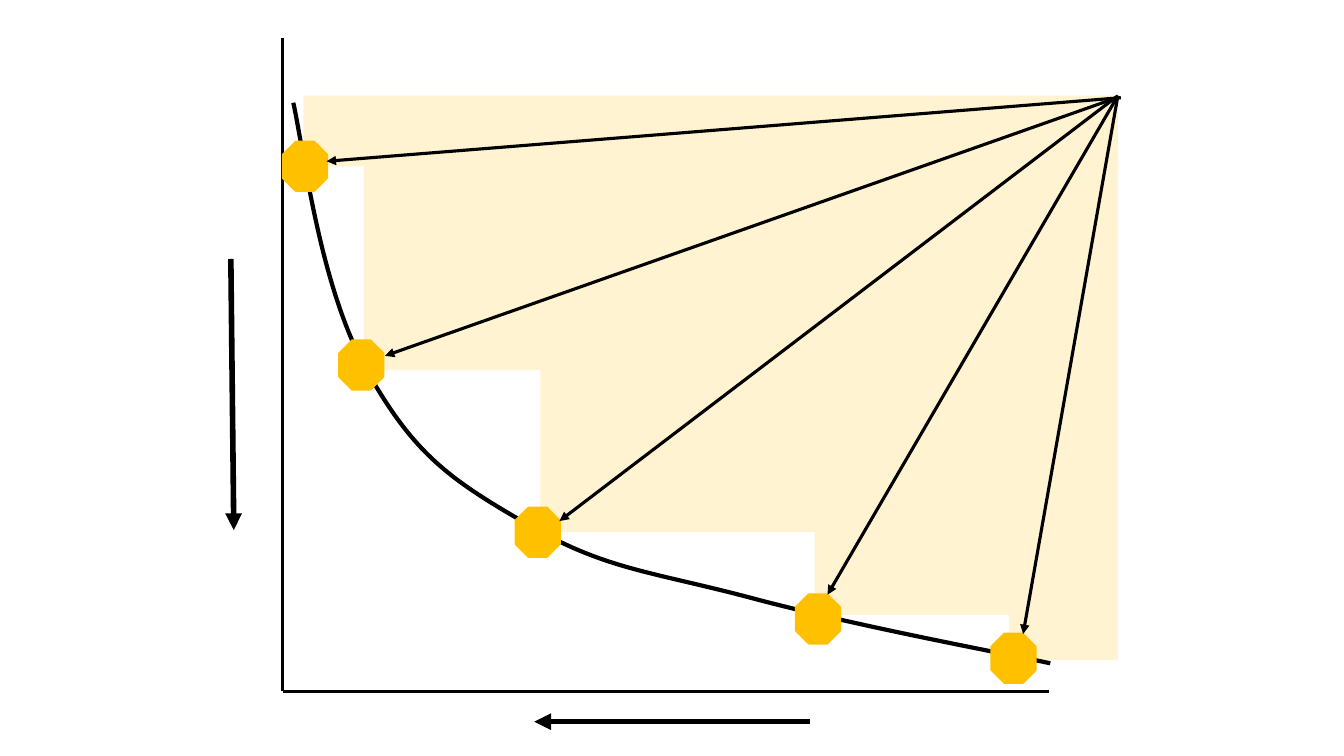
"""Draw a trade-off curve with its dominated area and rays to each optimum."""
import itertools
from dataclasses import dataclass

import pptx
import pptx.dml.color
import pptx.enum.shapes
import pptx.oxml
import pptx.oxml.ns
import pptx.util

Pt = pptx.util.Pt
qn = pptx.oxml.ns.qn
BLACK, GOLD = "000000", "FFC000"
Point = tuple[float, float]


@dataclass
class Line:
    start: Point
    end: Point
    width: float
    arrow: bool = True


CORNER: Point = (798.5, 68.4)
STEPS: list[Point] = [
    (720.7, 471.6), (581.8, 439.2), (385.9, 380.2), (259.9, 264.2), (216.7, 118.8),
]
CURVE: list[Point] = [
    (209.5, 73.4),
    (217.4, 109.4), (228.2, 203), (261.4, 263.5),
    (295.2, 324), (320.4, 342), (376.6, 374.4),
    (432.7, 407.5), (466.6, 408.2), (541.4, 428.4),
    (615.6, 447.8), (708.5, 465.1), (750.2, 473.8),
]
DOTS: list[Point] = [
    (202.3, 101.5), (242.6, 243.4), (368.6, 362.9), (568.8, 424.8), (708.5, 452.9),
]
DOT_SIZE: Point = (31, 34.6)
AXES = [
    Line((201.6, 27.4), (201.6, 493.9), 2, False),
    Line((202.3, 493.9), (749.5, 493.9), 2, False),
    Line((578.9, 515.5), (381.6, 515.5), 4),
    Line((164.9, 185), (167, 378.7), 4),
]
RAYS = [
    Line((800.6, 69.8), (233.3, 115.2), 2.25),
    Line((797.8, 69.8), (275, 254.2), 2.25),
    Line(CORNER, (399.6, 372.2), 2.25),
    Line(CORNER, (591.1, 424.8), 2.25),
    Line(CORNER, (730.8, 452.9), 2.25),
]


def paint(form, code: str) -> None:
    """Give a fill one solid colour."""
    form.solid()
    form.fore_color.rgb = pptx.dml.color.RGBColor.from_string(code)


def ink(line, width: float) -> None:
    """Make a line black and set its width."""
    paint(line.fill, BLACK)
    line.width = Pt(width)


def trace(slide, spots: list[Point], close: bool):
    """Build an outline through the given points."""
    pairs = [(Pt(x), Pt(y)) for x, y in spots]
    maker = slide.shapes.build_freeform(*pairs[0], scale=1.0)
    maker.add_line_segments(pairs[1:], close=close)
    shape = maker.convert_to_shape()
    shape.shadow.inherit = False
    return shape


def draw_area(slide) -> None:
    """Draw the pale stepped area."""
    right, top = CORNER
    spots = [CORNER, (right, STEPS[0][1])]
    for (x, y), (_, rise) in itertools.pairwise(STEPS + [CORNER]):
        spots += [(x, y), (x, rise)]
    area = trace(slide, spots, True)
    paint(area.fill, GOLD)
    area.line.fill.background()
    tint = area.element.spPr.find(qn("a:solidFill"))[0]
    pptx.oxml.ns.qn
    tint.append(pptx.oxml.parse_xml(f'<a:alpha {pptx.oxml.ns.nsdecls("a")} val="18000"/>'))


def draw_curve(slide) -> None:
    """Draw the smooth curve, each three points forming one Bezier part."""
    curve = trace(slide, CURVE, False)
    curve.fill.background()
    ink(curve.line, 3)
    parts = list(curve.element.iter(qn("a:lnTo")))
    for first, *rest in zip(*[iter(parts)] * 3):
        bend = pptx.oxml.parse_xml(f'<a:cubicBezTo {pptx.oxml.ns.nsdecls("a")}/>')
        first.addprevious(bend)
        for part in (first, *rest):
            bend.append(part[0])
            part.getparent().remove(part)


def draw_dot(slide, spot: Point) -> None:
    """Draw one gold octagon."""
    kind = pptx.enum.shapes.MSO_SHAPE.OCTAGON
    dot = slide.shapes.add_shape(kind, *map(Pt, spot + DOT_SIZE))
    dot.adjustments[0] = 0.293
    dot.shadow.inherit = False
    paint(dot.fill, GOLD)
    paint(dot.line.fill, GOLD)
    dot.line.width = Pt(2)


def draw_line(slide, item: Line) -> None:
    """Draw one straight line, with an arrowhead if wanted."""
    kind = pptx.enum.shapes.MSO_CONNECTOR.STRAIGHT
    wire = slide.shapes.add_connector(kind, *map(Pt, item.start + item.end))
    ink(wire.line, item.width)
    props = wire.element.spPr
    space = pptx.oxml.ns.nsdecls("a")
    if item.arrow:
        head = pptx.oxml.parse_xml(f'<a:tailEnd {space} type="triangle"/>')
        props.find(qn("a:ln")).append(head)
    props.append(pptx.oxml.parse_xml(f"<a:effectLst {space}/>"))


def main() -> None:
    """Build and save the slide."""
    deck = pptx.Presentation()
    for name, size in {"slide_width": 960, "slide_height": 540}.items():
        setattr(deck, name, Pt(size))
    slide = deck.slides.add_slide(deck.slide_layouts[6])
    draw_area(slide)
    for axis in AXES:
        draw_line(slide, axis)
    draw_curve(slide)
    for spot in DOTS:
        draw_dot(slide, spot)
    for ray in RAYS:
        draw_line(slide, ray)
    deck.save("out.pptx")


if __name__ == "__main__":
    main()
